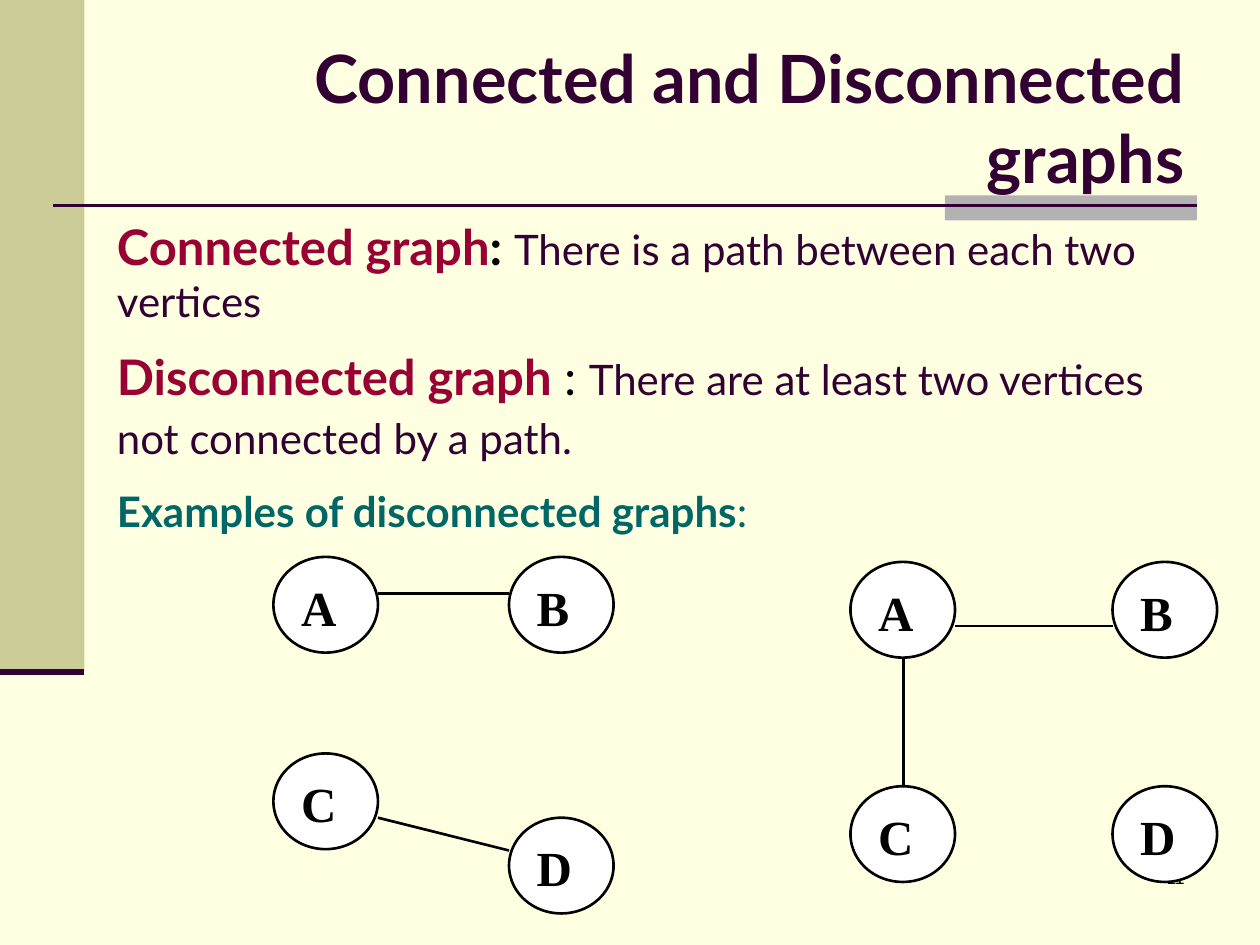
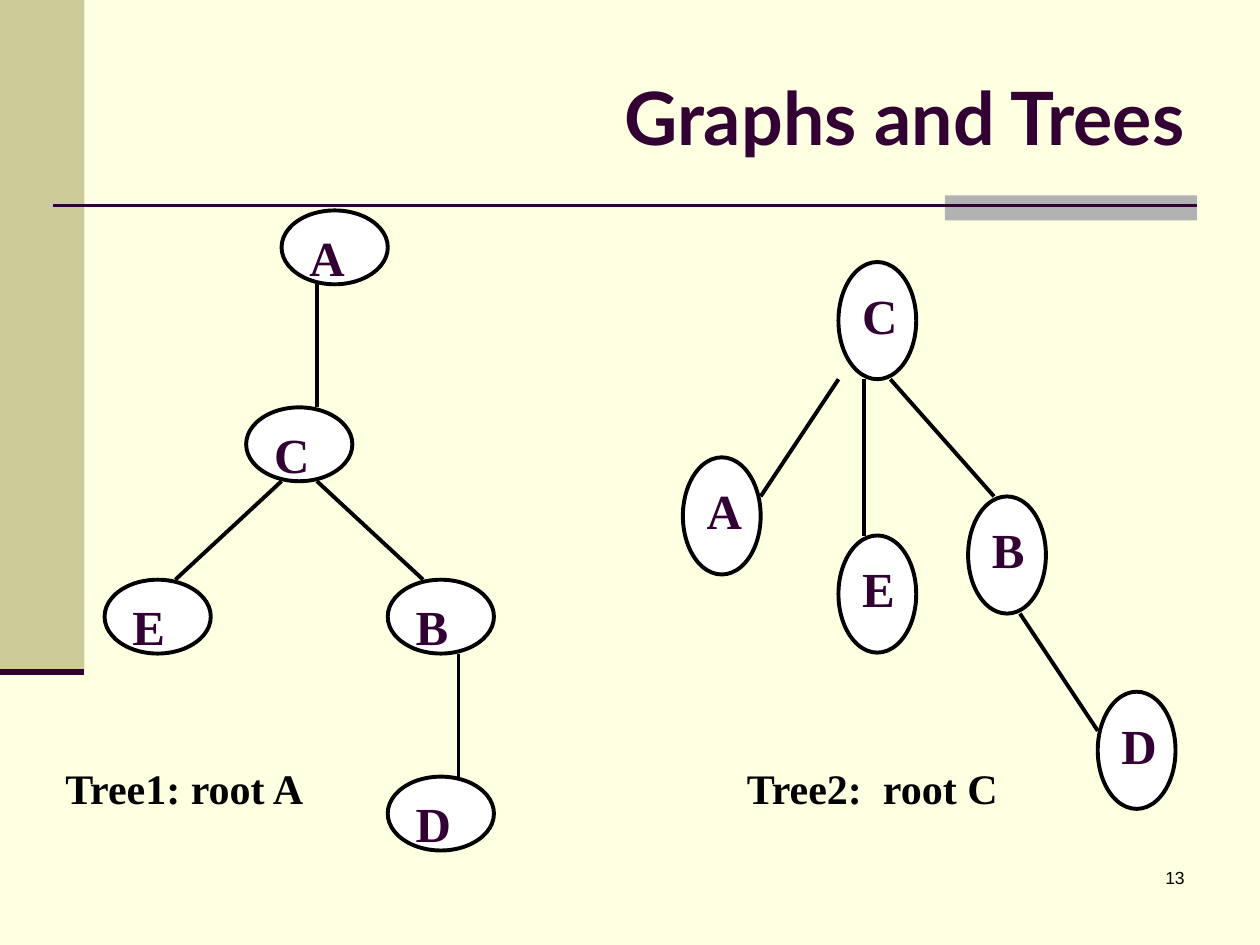
from lxml.etree import SubElement
from pptx import Presentation
from pptx.dml.color import RGBColor
from pptx.enum.shapes import MSO_CONNECTOR, MSO_SHAPE
from pptx.enum.text import MSO_ANCHOR, PP_ALIGN
from pptx.oxml.ns import qn
from pptx.util import Inches, Pt

CREAM = RGBColor(0xFF, 0xFF, 0xE1)
KHAKI = RGBColor(0xCC, 0xCC, 0x99)
GRAY = RGBColor(0xB2, 0xB2, 0xB2)
PLUM = RGBColor(0x33, 0x00, 0x33)
CRIMSON = RGBColor(0x99, 0x00, 0x33)
TEAL = RGBColor(0x00, 0x66, 0x66)
BLACK = RGBColor(0x00, 0x00, 0x00)
WHITE = RGBColor(0xFF, 0xFF, 0xFF)

SERIF = "Times New Roman"
TERM = dict(name="Lato", size=28, bold=True, color=CRIMSON)
PLAIN = dict(name="Lato", size=24, bold=False, color=PLUM)
EXAMPLES = dict(name="Lato", size=24, bold=True, color=TEAL)
CAPTION = dict(name=SERIF, size=24, bold=True, color=BLACK)
NUMBER = dict(name="Arial", size=10, bold=False, color=BLACK)
GRAPH_LABEL = dict(name=SERIF, size=28, bold=True, color=BLACK)
TREE_LABEL = GRAPH_LABEL | dict(color=PLUM)

TITLE_BOX = (1, 0.3, 8.5, 1.25)
NUMBER_BOX = (7.42, 6.83, 2.08, 0.5)


def add_run(p, text, style):
    r = p.add_run()
    r.text = text
    for key, value in style.items():
        if key == "color":
            r.font.color.rgb = value
        else:
            setattr(r.font, key, Pt(value) if key == "size" else value)


def add_text(s, box, paragraphs, align=PP_ALIGN.LEFT, anchor=MSO_ANCHOR.TOP):
    tf = s.shapes.add_textbox(*map(Inches, box)).text_frame
    tf.word_wrap = True
    tf.vertical_anchor = anchor
    for i, runs in enumerate(paragraphs):
        p = tf.add_paragraph() if i else tf.paragraphs[0]
        p.alignment = align
        if i:
            p.space_before = Pt(12)
        for text, style in runs:
            add_run(p, text, style)


def add_filled(s, preset, box, fill):
    sp = s.shapes.add_shape(preset, *map(Inches, box))
    sp.shadow.inherit = False
    sp.fill.solid()
    sp.fill.fore_color.rgb = fill
    sp.line.fill.background()
    return sp


def add_line(s, start, end, color, width):
    line = s.shapes.add_connector(MSO_CONNECTOR.STRAIGHT, *map(Inches, start + end))
    line.line.color.rgb = color
    line.line.width = Pt(width)
    SubElement(line._element.spPr, qn("a:effectLst"))


def add_node(s, box, label, style, width):
    sp = add_filled(s, MSO_SHAPE.OVAL, box, WHITE)
    sp.line.color.rgb = BLACK
    sp.line.width = Pt(width)
    tf = sp.text_frame
    tf.word_wrap = True
    tf.vertical_anchor = MSO_ANCHOR.TOP
    p = tf.paragraphs[0]
    p.alignment = PP_ALIGN.LEFT
    add_run(p, label, style)


def add_graph(s, box, grid, node, nodes, edges, style, width):
    left, top, w, h = box
    dx, dy = w / grid[0], h / grid[1]

    def place(x, y):
        return left + x * dx, top + y * dy

    for label, corner in nodes.items():
        size = (node[0] * dx, node[1] * dy)
        add_node(s, place(*corner) + size, label, style, width)
    for start, end in edges:
        add_line(s, place(*start), place(*end), BLACK, width)


def add_example(s, box, nodes, edges):
    add_graph(s, box, box[2:], (0.83, 0.76), nodes, edges, GRAPH_LABEL, 1.5)


def add_tree(s, box, grid, nodes, edges):
    add_graph(s, box, grid, (3, 3), nodes, edges, TREE_LABEL, 2.25)


def add_frame(prs, title, size, number):
    s = prs.slides.add_slide(prs.slide_layouts[6])
    add_filled(s, MSO_SHAPE.RECTANGLE, (0, 0, 0.67, 5.33), KHAKI)
    add_filled(s, MSO_SHAPE.RECTANGLE, (7.5, 1.55, 2, 0.2), GRAY)
    add_line(s, (0.42, 1.63), (9.5, 1.63), PLUM, 1.5)
    add_line(s, (0, 5.33), (0.67, 5.33), PLUM, 3.5)
    add_text(s, NUMBER_BOX, [[(number, NUMBER)]], PP_ALIGN.RIGHT)
    style = dict(name="Lato", size=size, bold=True, color=PLUM)
    add_text(s, TITLE_BOX, [[(title, style)]], PP_ALIGN.RIGHT, MSO_ANCHOR.MIDDLE)
    return s


def build_connectivity(prs):
    s = add_frame(prs, "Connected and Disconnected graphs", 38, "11")
    add_text(s, (0.83, 1.67, 8.67, 2.73), [
        [("Connected graph", TERM),
         (": ", TERM | dict(color=BLACK)),
         ("There is a path between each two vertices", PLAIN)],
        [("Disconnected graph", TERM),
         (" : ", PLAIN | dict(size=28, color=BLACK)),
         ("There are at least two vertices not connected by a path.", PLAIN),
         (" ", PLAIN | dict(size=28))],
        [("Examples of disconnected graphs", EXAMPLES),
         (":", EXAMPLES | dict(bold=False))],
    ])
    add_example(s, (2.17, 4.42, 2.7, 2.83),
                {"A": (0, 0), "B": (1.87, 0), "C": (0, 1.56), "D": (1.87, 2.07)},
                [((0.83, 0.29), (1.87, 0.29)), ((0.83, 2.07), (1.87, 2.33))])
    add_example(s, (6.75, 4.46, 2.91, 2.54),
                {"A": (0, 0), "B": (2.08, 0), "C": (0, 1.78), "D": (2.08, 1.78)},
                [((0.42, 0.76), (0.42, 1.78)), ((0.83, 0.51), (2.08, 0.51))])


def build_trees(prs):
    s = add_frame(prs, "Graphs and Trees", 42, "13")
    add_tree(s, (0.83, 1.67, 3.09, 5.08), (11, 26),
             {"A": (5, 0), "C": (4, 8), "E": (0, 15), "B": (8, 15), "D": (8, 23)},
             [((6, 3), (6, 8)), ((5, 11), (2, 15)),
              ((6, 11), (9, 15)), ((10, 18), (10, 23))])
    add_tree(s, (5.42, 2.08, 3.91, 4.34), (19, 14),
             {"C": (6, 0), "A": (0, 5), "E": (6, 7), "B": (11, 6), "D": (16, 11)},
             [((6, 3), (3, 6)), ((7, 3), (7, 7)),
              ((8, 3), (12, 6)), ((13, 9), (16, 12))])
    for left, caption in ((0.42, "Tree1: root A"), (5.83, "Tree2:  root C")):
        add_text(s, (left, 6, 2.25, 0.5), [[(caption, CAPTION)]])


def main():
    prs = Presentation()
    prs.slide_width, prs.slide_height = Inches(10), Inches(7.5)
    background = prs.slide_master.background.fill
    background.solid()
    background.fore_color.rgb = CREAM
    build_connectivity(prs)
    build_trees(prs)
    prs.save("out.pptx")


if __name__ == "__main__":
    main()
